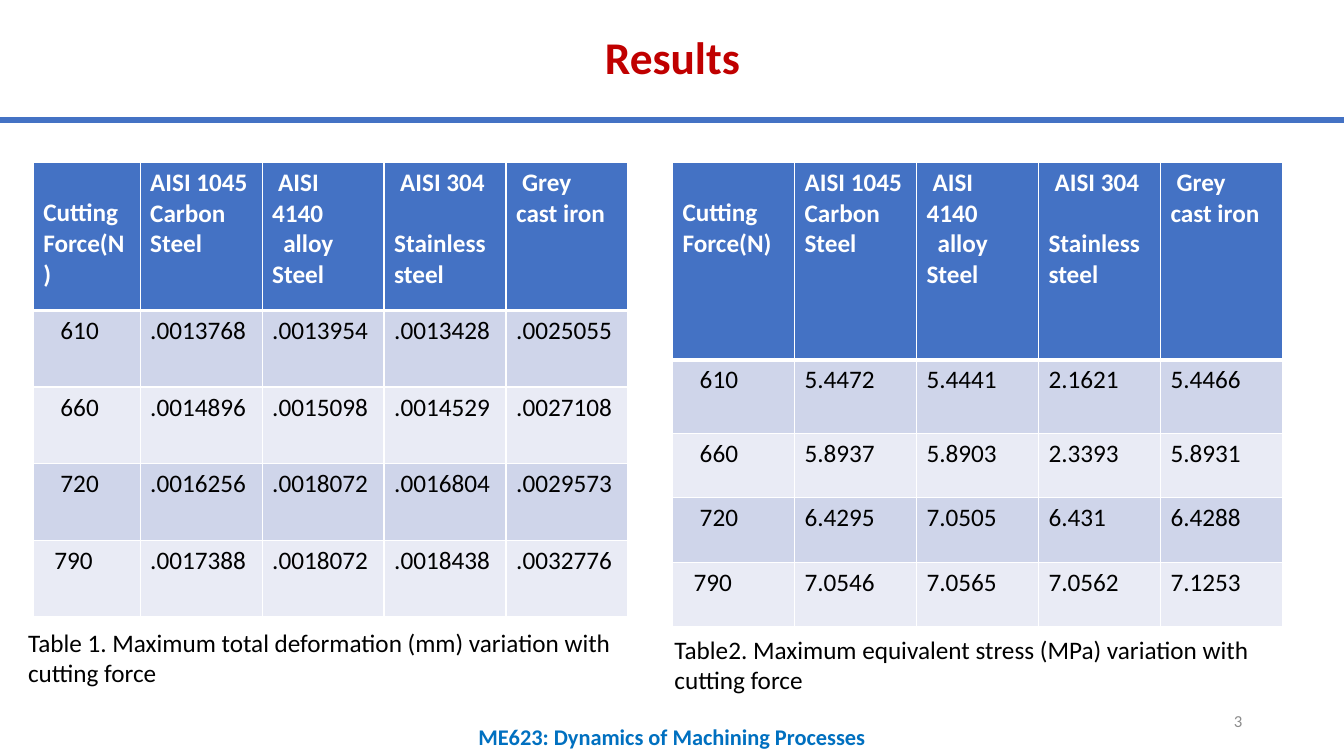
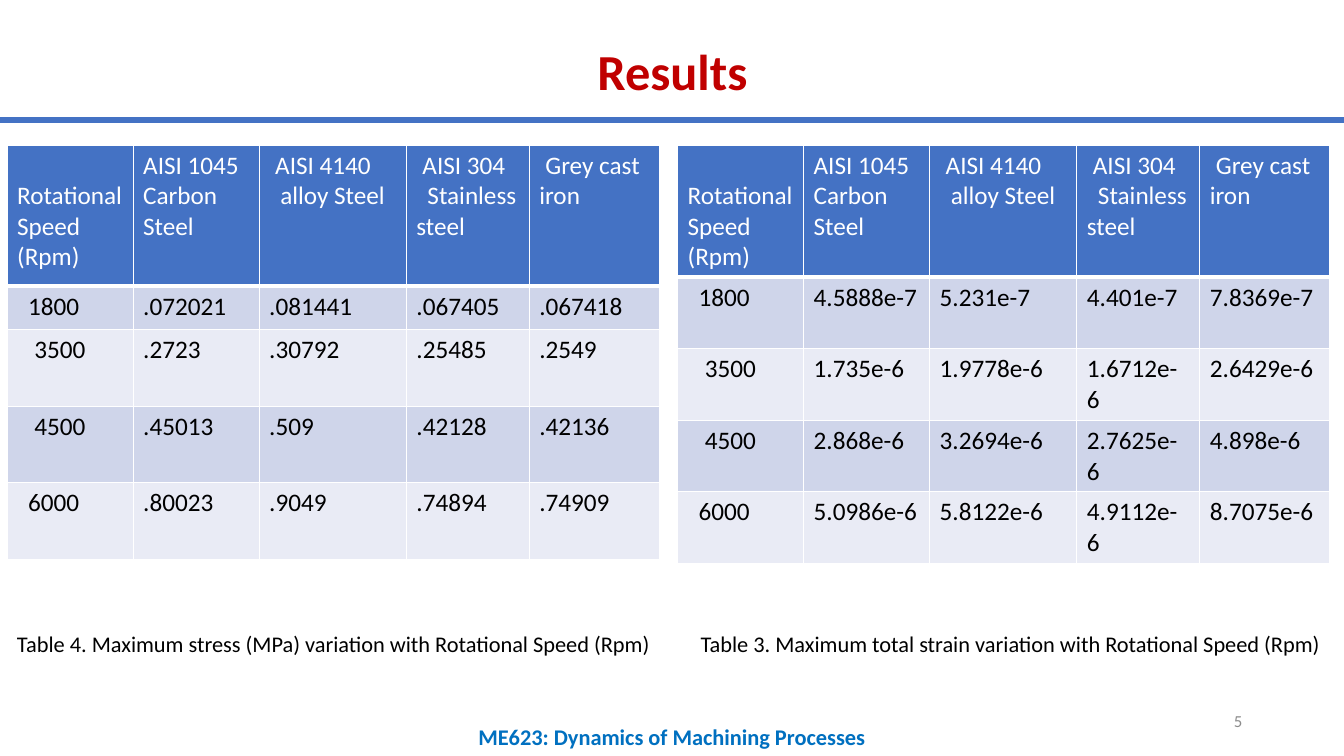
import dataclasses

import lxml.etree
import pptx
import pptx.dml.color
import pptx.enum.shapes
import pptx.enum.text
import pptx.oxml.ns
import pptx.util

Inches = pptx.util.Inches
Pt = pptx.util.Pt
ANCHOR = pptx.enum.text.MSO_ANCHOR
ALIGN = pptx.enum.text.PP_ALIGN


@dataclasses.dataclass(frozen=True)
class Theme:
    font: str = "Calibri"
    title: str = "C00000"
    accent: str = "4472C4"
    footer: str = "0070C0"
    number: str = "8C8C8C"
    dark: str = "000000"
    light: str = "FFFFFF"
    bands: tuple = ("CFD5EA", "E9EBF5")
    table_size: int = 18
    footer_size: int = 16
    number_size: int = 12
    border: int = 1
    header_border: int = 3


THEME = Theme()
ONE_SPACE, TWO_SPACES, THREE_SPACES = 0.06, 0.11, 0.17
LINE_HEIGHT = 0.3


def write(paragraph, text, size, color, bold=False, align=ALIGN.LEFT, indent=0):
    """Add one formatted run, with an optional first-line indent in inches."""
    paragraph.alignment = align
    if indent:
        paragraph._p.get_or_add_pPr().set("indent", str(int(Inches(indent))))
    run = paragraph.add_run()
    run.text = text
    run.font.name = THEME.font
    run.font.size = Pt(size)
    run.font.bold = bold
    run.font.color.rgb = pptx.dml.color.RGBColor.from_string(color)


def add_text(slide, box, text, size, color, **style):
    shape = slide.shapes.add_textbox(*[Inches(length) for length in box])
    shape.text_frame.word_wrap = True
    write(shape.text_frame.paragraphs[0], text, size, color, **style)
    return shape


# Header cells: each line is (indent, text, space before in points)
def_lines = [
    [(0, "AISI 1045 Carbon Steel", 0)],
    [(ONE_SPACE, "AISI 4140", 0), (TWO_SPACES, "alloy Steel", 0)],
]
grey_iron = [(ONE_SPACE, "Grey cast iron", 0)]
force_header = [
    [(0, "Cutting Force(N)", 0)],
    *def_lines,
    [(ONE_SPACE, "AISI 304", 0), (0, "Stainless steel", 22)],
    grey_iron,
]
speed_header = [
    [(0, "Rotational Speed", 0), (0, "(Rpm)", 0)],
    *def_lines,
    [(ONE_SPACE, "AISI 304", 0), (TWO_SPACES, "Stainless steel", 0)],
    grey_iron,
]
force_indents = [THREE_SPACES, THREE_SPACES, THREE_SPACES, TWO_SPACES]
speed_indents = [TWO_SPACES, THREE_SPACES, THREE_SPACES, TWO_SPACES]
speed_columns = [1.25, 1.25, 1.46, 1.22, 1.29]

# Slide content
slides = [
    {
        "number": "3", "title_size": 32.4, "title_height": 0.47,
        "header": force_header, "header_bold": True,
        "indents": force_indents, "caption_size": 18,
        "tables": [
            {
                "left": 0.33, "top": 1.61,
                "columns": [1.06] + [1.21] * 4, "rows": [1.47] + [0.76] * 4,
                "values": [
                    ["610", ".0013768", ".0013954", ".0013428", ".0025055"],
                    ["660", ".0014896", ".0015098", ".0014529", ".0027108"],
                    ["720", ".0016256", ".0018072", ".0016804", ".0029573"],
                    ["790", ".0017388", ".0018072", ".0018438", ".0032776"],
                ],
                "caption": "Table 1. Maximum total deformation (mm) variation with cutting force",
                "caption_box": (0.18, 6.17, 6.07, 0.71),
            },
            {
                "left": 6.67, "top": 1.61,
                "columns": [1.21] * 5, "rows": [1.96, 0.73] + [0.64] * 3,
                "values": [
                    ["610", "5.4472", "5.4441", "2.1621", "5.4466"],
                    ["660", "5.8937", "5.8903", "2.3393", "5.8931"],
                    ["720", "6.4295", "7.0505", "6.431", "6.4288"],
                    ["790", "7.0546", "7.0565", "7.0562", "7.1253"],
                ],
                "caption": "Table2. Maximum equivalent stress (MPa) variation with cutting force",
                "caption_box": (6.59, 6.24, 6.22, 0.71),
            },
        ],
    },
    {
        "number": "5", "title_size": 36, "title_height": 0.75,
        "header": speed_header, "header_bold": False,
        "indents": speed_indents, "caption_size": 16,
        "tables": [
            {
                "left": 0.07, "top": 1.44,
                "columns": speed_columns, "rows": [1.4, 0.43] + [0.76] * 3,
                "values": [
                    ["1800", ".072021", ".081441", ".067405", ".067418"],
                    ["3500", ".2723", ".30792", ".25485", ".2549"],
                    ["4500", ".45013", ".509", ".42128", ".42136"],
                    ["6000", ".80023", ".9049", ".74894", ".74909"],
                ],
                "caption": "Table 4. Maximum stress (MPa) variation with Rotational Speed (Rpm)",
                "caption_box": (0.07, 6.2, 6.59, 0.67),
            },
            {
                "left": 6.72, "top": 1.44,
                "columns": speed_columns, "rows": [1.31] + [0.71] * 4,
                "values": [
                    ["1800", "4.5888e-7", "5.231e-7", "4.401e-7", "7.8369e-7"],
                    ["3500", "1.735e-6", "1.9778e-6", "1.6712e-6", "2.6429e-6"],
                    ["4500", "2.868e-6", "3.2694e-6", "2.7625e-6", "4.898e-6"],
                    ["6000", "5.0986e-6", "5.8122e-6", "4.9112e-6", "8.7075e-6"],
                ],
                "caption": "Table 3. Maximum total strain variation with Rotational Speed (Rpm)",
                "caption_box": (6.85, 6.2, 6.48, 0.67),
            },
        ],
    },
]

presentation = pptx.Presentation()
presentation.slide_width = Inches(13.33)
presentation.slide_height = Inches(7.5)
layout = presentation.slide_layouts[5]

for index, content in enumerate(slides):
    slide = presentation.slides.add_slide(layout)

    # Shared rule and footer: made once, then moved to the layout
    if index == 0:
        rule = slide.shapes.add_connector(
            pptx.enum.shapes.MSO_CONNECTOR.STRAIGHT,
            0, Inches(1.19), Inches(13.33), Inches(1.19))
        rule.line.color.rgb = pptx.dml.color.RGBColor.from_string(THEME.accent)
        rule.line.width = Pt(4.5)
        lxml.etree.SubElement(
            rule._element.spPr, pptx.oxml.ns.qn("a:effectLst"))
        footer = add_text(
            slide, (3.33, 7.13, 6.67, 0.37), "ME623: Dynamics of Machining Processes",
            THEME.footer_size, THEME.footer, bold=True, align=ALIGN.CENTER)
        for shared in (rule, footer):
            layout.shapes._spTree.append(shared._element)

    # Title
    title = slide.shapes.title
    title.left, title.top = Inches(1.31), Inches(0.36)
    title.width, title.height = Inches(10.72), Inches(content["title_height"])
    title.text_frame.auto_size = pptx.enum.text.MSO_AUTO_SIZE.NONE
    title.text_frame.vertical_anchor = ANCHOR.MIDDLE
    paragraph = title.text_frame.paragraphs[0]
    paragraph.line_spacing = 0.9
    write(paragraph, "Results", content["title_size"], THEME.title,
          bold=True, align=ALIGN.CENTER)

    # Slide number
    number = add_text(slide, (9.42, 6.95, 3, 0.4), content["number"],
                      THEME.number_size, THEME.number, align=ALIGN.RIGHT)
    number.text_frame.vertical_anchor = ANCHOR.MIDDLE

    for data in content["tables"]:
        # Table grid
        columns, rows = data["columns"], data["rows"]
        table = slide.shapes.add_table(
            len(rows), len(columns), Inches(data["left"]), Inches(data["top"]),
            Inches(sum(columns)), Inches(sum(rows))).table
        table.horz_banding = False
        for column, width in zip(table.columns, columns):
            column.width = Inches(width)
        for row, height in zip(table.rows, rows):
            row.height = Inches(height)

        # Body cells become single lines; only the first column is indented
        body = [
            [[(indent if position == 0 else 0, value, 0)]
             for position, value in enumerate(values)]
            for indent, values in zip(content["indents"], data["values"])
        ]
        for row_index, row_cells in enumerate([content["header"]] + body):
            is_header = row_index == 0
            fill = THEME.accent if is_header else THEME.bands[(row_index - 1) % 2]
            for column_index, lines in enumerate(row_cells):
                cell = table.cell(row_index, column_index)
                cell.fill.solid()
                cell.fill.fore_color.rgb = pptx.dml.color.RGBColor.from_string(fill)
                if is_header and column_index == 0:
                    cell.margin_top = Inches(0.05 + LINE_HEIGHT)

                # Cell text
                for line_index, (indent, text, space_before) in enumerate(lines):
                    frame = cell.text_frame
                    paragraph = frame.add_paragraph() if line_index else frame.paragraphs[0]
                    if space_before:
                        paragraph.space_before = Pt(space_before)
                    write(paragraph, text, THEME.table_size,
                          THEME.light if is_header else THEME.dark,
                          bold=is_header and content["header_bold"], indent=indent)

                # Cell borders, heavier between header and body
                widths = {"lnL": THEME.border, "lnR": THEME.border,
                          "lnT": THEME.header_border if row_index == 1 else THEME.border,
                          "lnB": THEME.header_border if is_header else THEME.border}
                properties = cell._tc.get_or_add_tcPr()
                for place, (side, width) in enumerate(widths.items()):
                    line = lxml.etree.Element(
                        pptx.oxml.ns.qn("a:" + side), w=str(int(Pt(width))))
                    solid = lxml.etree.SubElement(line, pptx.oxml.ns.qn("a:solidFill"))
                    lxml.etree.SubElement(
                        solid, pptx.oxml.ns.qn("a:srgbClr"), val=THEME.light)
                    properties.insert(place, line)

        # Caption
        add_text(slide, data["caption_box"], data["caption"],
                 content["caption_size"], THEME.dark)

presentation.save("out.pptx")
